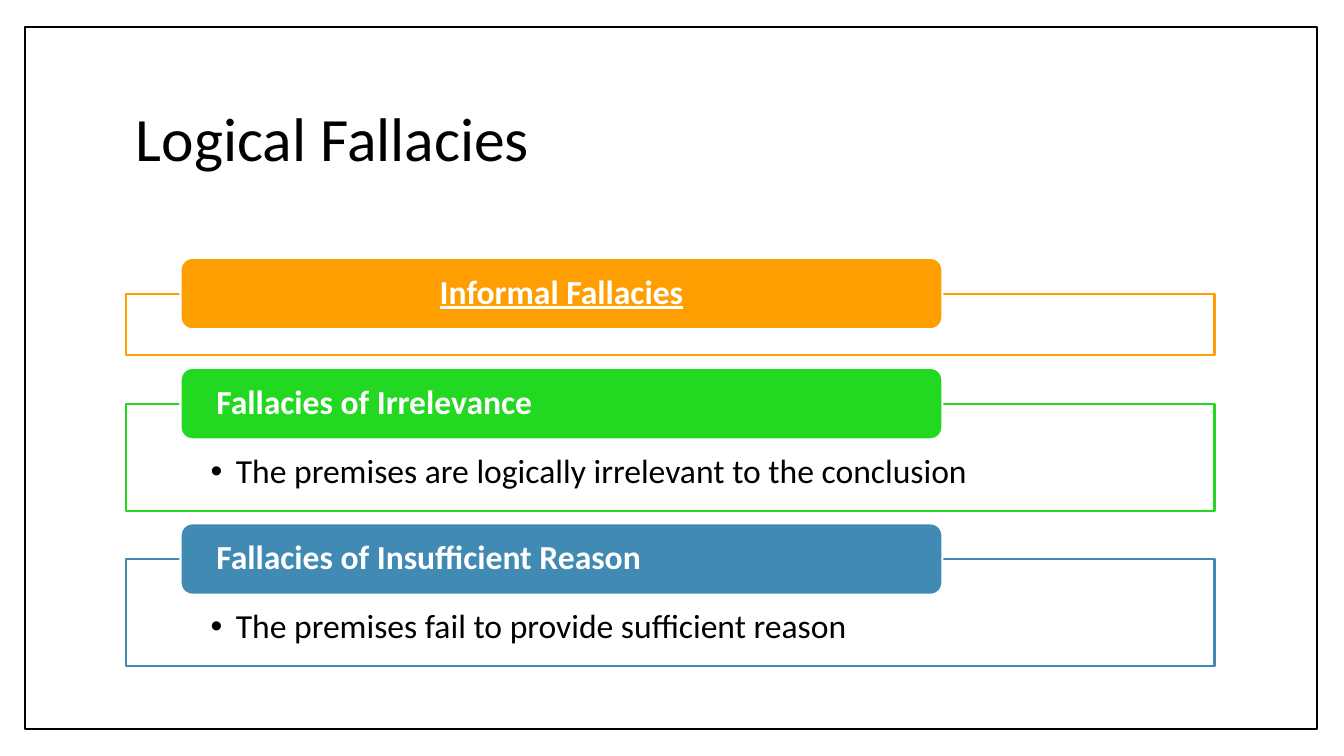
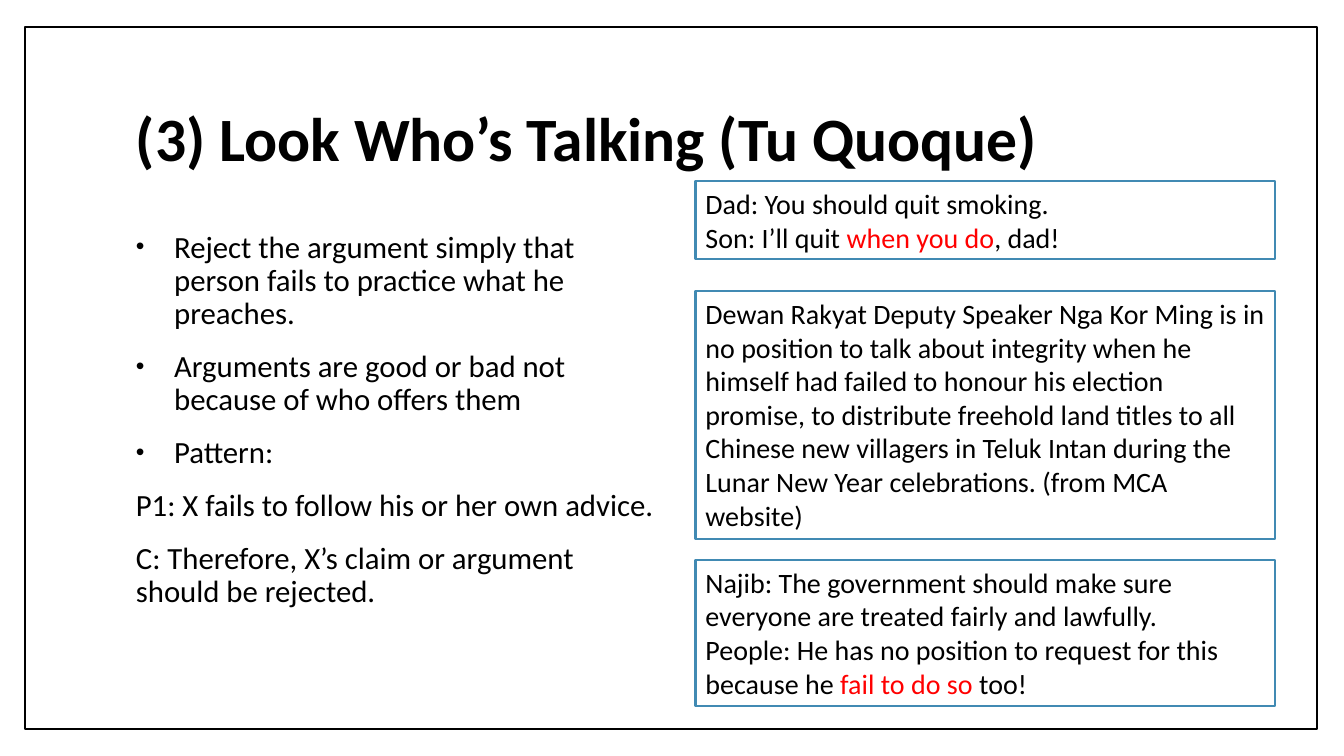
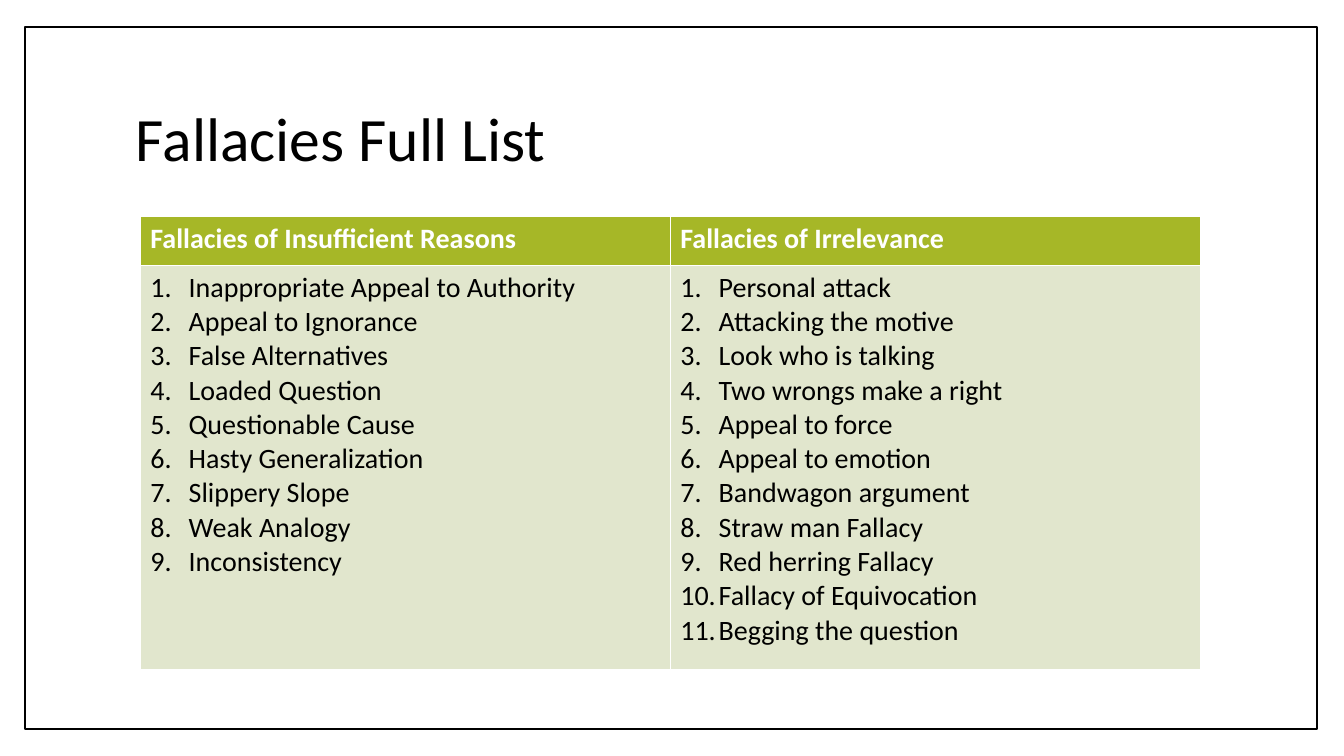
from lxml import etree
from pptx import Presentation
from pptx import util as u
from pptx.dml.color import RGBColor
from pptx.enum import shapes, text
from pptx.oxml.ns import qn

BLACK = RGBColor(0x00, 0x00, 0x00)
WHITE = RGBColor(0xFF, 0xFF, 0xFF)
RED = RGBColor(0xFF, 0x00, 0x00)
ORANGE = RGBColor(0xFE, 0x9E, 0x00)
GREEN = RGBColor(0x23, 0xD8, 0x21)
BLUE = RGBColor(0x41, 0x8A, 0xB3)
OLIVE = RGBColor(0xA6, 0xB7, 0x27)
PALE = RGBColor(0xE1, 0xE6, 0xCD)

FONT = "Calibri"
RECT = shapes.MSO_SHAPE.RECTANGLE
ROUND = shapes.MSO_SHAPE.ROUNDED_RECTANGLE
MID = text.MSO_ANCHOR.MIDDLE
TOP = text.MSO_ANCHOR.TOP
LEFT = text.PP_ALIGN.LEFT
CENTER = text.PP_ALIGN.CENTER

# The slide is a grid of 160 columns by 90 rows of square units.
UNIT = u.Inches(7.5) / 90
EDGE, WIDE = 15, 129.6


def grid(*sizes):
    """Turn grid units into lengths."""
    return [u.Emu(round(size * UNIT)) for size in sizes]


def write(frame, lines, size=20, color=BLACK, bold=False, line=False,
          align=LEFT, lead=1.0, gap=0, mark=None, hang=0.38, scale=100):
    """Append paragraphs; text between bars is red, mark is a bullet or "1."."""
    frame.word_wrap = True
    for words in lines:
        first = not frame.text
        para = frame.paragraphs[0] if first else frame.add_paragraph()
        if mark:
            props = para._p.get_or_add_pPr()
            props.set("marL", str(u.Inches(hang)))
            props.set("indent", str(-u.Inches(hang)))
            if mark == "1.":
                etree.SubElement(props, qn("a:buAutoNum"), type="arabicPeriod")
            else:
                etree.SubElement(props, qn("a:buSzPct"), val=str(scale * 1000))
                etree.SubElement(props, qn("a:buFont"), typeface="Arial")
                etree.SubElement(props, qn("a:buChar"), char=mark)
        para.alignment = align
        para.line_spacing = lead
        para.space_before = u.Pt(0 if first else gap)
        for spot, part in enumerate(words.split("|")):
            run = para.add_run()
            run.text = part
            font = run.font
            font.name, font.size = FONT, u.Pt(size)
            font.bold, font.underline = bold, line
            font.color.rgb = RED if spot % 2 else color


deck = Presentation()
deck.slide_width, deck.slide_height = grid(160, 90)

# Each plan lists the plain boxes of a slide: kind, place, fill, line, width,
# anchor, left and top inset in inches, and pairs of lines and their format.
panels = []
top = 35
for tint, tall, head, point in [
    (ORANGE, 7.3, "Informal Fallacies", None),
    (GREEN, 12.7, "Fallacies of Irrelevance",
     "The premises are logically irrelevant to the conclusion"),
    (BLUE, 12.7, "Fallacies of Insufficient Reason",
     "The premises fail to provide sufficient reason"),
]:
    body = [([point], dict(size=24, lead=0.9, mark="•", hang=0.25))] if point else []
    label = dict(size=24, color=WHITE, bold=True, lead=0.9,
                 line=not point, align=LEFT if point else CENTER)
    panels += [
        (RECT, (EDGE, top, WIDE, tall), WHITE, tint, 1.5, TOP, 0.84, 0.5, body),
        (ROUND, (21.5, top - 4.3, 90.7, 8.5), tint, WHITE, 1.5, MID, 0.32, 0,
         [([head], label)]),
    ]
    top += tall + 5.8

notes = [
    (RECT, (82.8, top, 69, tall), WHITE, BLUE, 1.5, TOP, 0.1, 0.05, [(lines, {})])
    for top, tall, lines in [
        (66.7, 17.4, [
            "Najib: The government should make sure everyone are treated fairly and lawfully.",
            "People: He has no position to request for this because he |fail to do so |too!"]),
        (21.6, 9.2, [
            "Dad: You should quit smoking.",
            "Son: I’ll quit |when you do|, dad!"]),
        (34.7, 29.5, [
            "Dewan Rakyat Deputy Speaker Nga Kor Ming is in no position to talk about "
            "integrity when he himself had failed to honour his election promise, to "
            "distribute freehold land titles to all Chinese new villagers in Teluk Intan "
            "during the Lunar New Year celebrations. (from MCA website)"]),
    ]
]

border = (RECT, (3, 3.2, 153.8, 83.6), WHITE, BLACK, 1, TOP, 0.1, 0.05, [])
pages = []
for title, bold, plan in [
    ("Logical Fallacies", False, panels),
    ("(3) Look Who’s Talking (Tu Quoque)", True, notes),
    ("Fallacies Full List", False, []),
]:
    page = deck.slides.add_slide(deck.slide_layouts[6])
    pages.append(page)
    for kind, place, fill, edge, thick, anchor, side, above, texts in [border] + plan:
        box = page.shapes.add_shape(kind, *grid(*place))
        box.shadow.inherit = False
        box.fill.solid()
        box.fill.fore_color.rgb = fill
        box.line.color.rgb = edge
        box.line.width = u.Pt(thick)
        frame = box.text_frame
        frame.vertical_anchor = anchor
        frame.margin_left = frame.margin_right = u.Inches(side)
        frame.margin_top = frame.margin_bottom = u.Inches(above)
        for lines, style in texts:
            write(frame, lines, **style)
    frame = page.shapes.add_textbox(*grid(EDGE, 8, WIDE, 17.8)).text_frame
    frame.vertical_anchor = MID
    write(frame, [title], size=44, bold=bold, lead=0.9)

# Points beside the notes
frame = pages[1].shapes.add_textbox(*grid(EDGE, 27, 65, 53)).text_frame
style = dict(size=22, lead=0.9, gap=14)
write(frame, [
    "Reject the argument simply that person fails to practice what he preaches.",
    "Arguments are good or bad not because of who offers them",
    "Pattern:",
], mark="•", scale=80, **style)
write(frame, [
    "P1: X fails to follow his or her own advice.",
    "C: Therefore, X’s claim or argument should be rejected.",
], **style)

# Table of all fallacies
table = pages[2].shapes.add_table(2, 2, *grid(16.7, 25.8, 126.2, 53.9)).table
table.rows[0].height, table.rows[1].height = grid(5.8, 48.1)
for col, (head, names) in enumerate([
    ("Fallacies of Insufficient Reasons", [
        "Inappropriate Appeal to Authority", "Appeal to Ignorance",
        "False Alternatives", "Loaded Question", "Questionable Cause",
        "Hasty Generalization", "Slippery Slope", "Weak Analogy",
        "Inconsistency"]),
    ("Fallacies of Irrelevance", [
        "Personal attack", "Attacking the motive", "Look who is talking",
        "Two wrongs make a right", "Appeal to force", "Appeal to emotion",
        "Bandwagon argument", "Straw man Fallacy", "Red herring Fallacy",
        "Fallacy of Equivocation", "Begging the question"]),
]):
    for row, (lines, fill, style) in enumerate([
        ([head], OLIVE, dict(color=WHITE, bold=True)),
        (names, PALE, dict(mark="1.")),
    ]):
        cell = table.cell(row, col)
        cell.fill.solid()
        cell.fill.fore_color.rgb = fill
        write(cell.text_frame, lines, **style)

deck.save("out.pptx")
